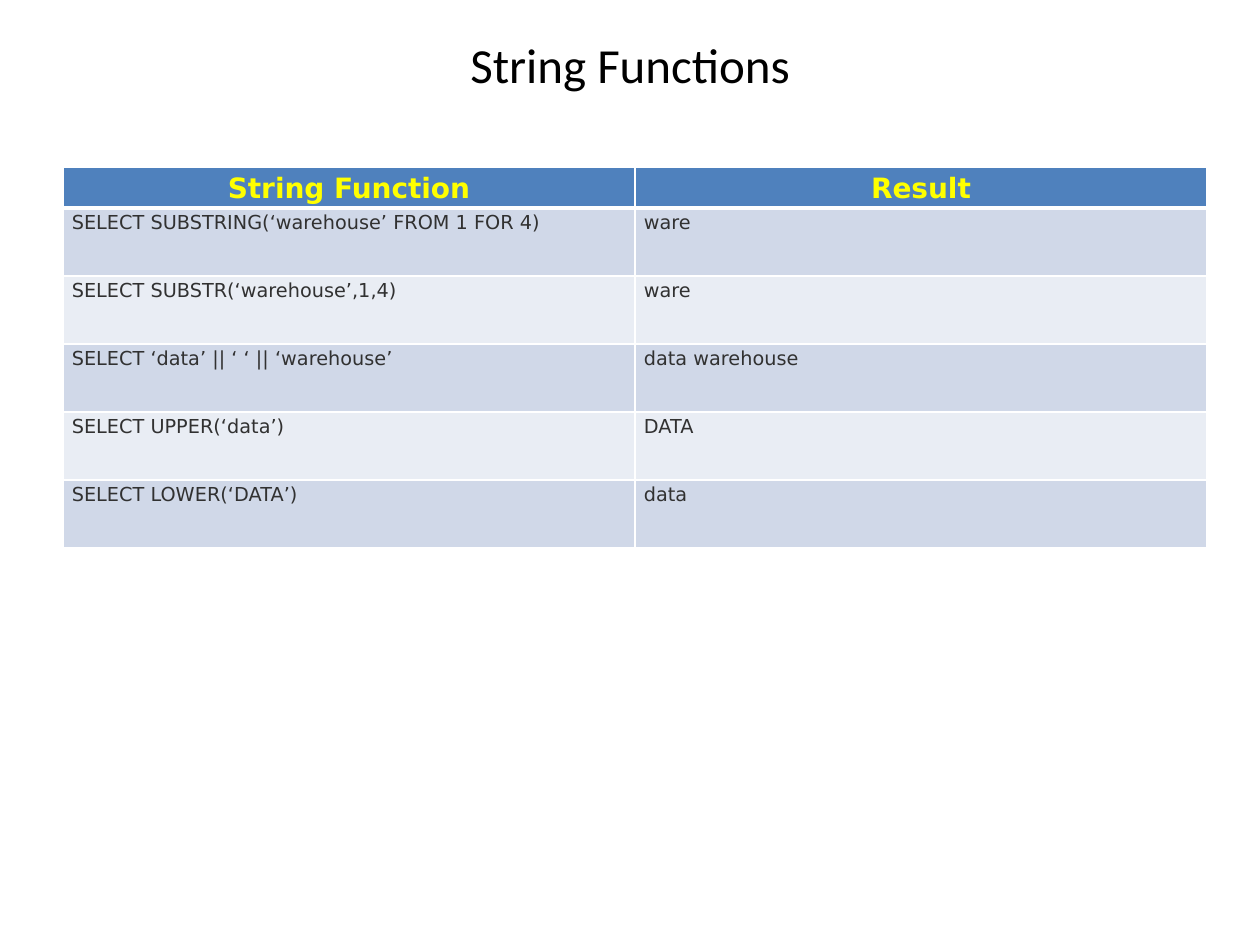
from lxml import etree
from pptx import Presentation
from pptx import util as u
from pptx.dml.color import RGBColor
from pptx.enum import text
from pptx.oxml import ns

ROWS = [
    ("String Function", "Result"),
    ("SELECT SUBSTRING(‘warehouse’ FROM 1 FOR 4)", "ware"),
    ("SELECT SUBSTR(‘warehouse’,1,4)", "ware"),
    ("SELECT ‘data’ || ‘ ‘ || ‘warehouse’", "data warehouse"),
    ("SELECT UPPER(‘data’)", "DATA"),
    ("SELECT LOWER(‘DATA’)", "data"),
]
TITLE_FONT = {"name": "Calibri", "size": u.Pt(28), "bold": False}
HEADER_FONT = {"name": "DejaVu Sans", "size": u.Pt(16), "bold": True}
BODY_FONT = {"name": "DejaVu Sans", "size": u.Pt(11), "bold": False}
CELL_FORMAT = {
    "margin_left": u.Inches(0.07),
    "margin_right": u.Inches(0.07),
    "margin_top": 0,
    "margin_bottom": 0,
    "vertical_anchor": text.MSO_ANCHOR.TOP,
}


def apply(target, values):
    for name, value in values.items():
        setattr(target, name, value)


def set_color(color_format, color):
    color_format.rgb = RGBColor.from_string(color)


def write(frame, words, font, color, align, spacing=1.0):
    para = frame.paragraphs[0]
    apply(para, {"alignment": align, "line_spacing": spacing})
    span = para.add_run()
    span.text = words
    apply(span.font, font)
    set_color(span.font.color, color)


def set_borders(cell, widths, color):
    properties = cell._tc.get_or_add_tcPr()
    for index, (side, width) in enumerate(widths.items()):
        line = etree.Element(ns.qn(f"a:ln{side}"), w=str(u.Pt(width)))
        fill = etree.SubElement(line, ns.qn("a:solidFill"))
        etree.SubElement(fill, ns.qn("a:srgbClr"), val=color)
        properties.insert(index, line)


def add_title(page, words):
    title = page.shapes.title
    apply(title, {"left": u.Inches(0.5), "top": u.Inches(0.17),
                  "width": u.Inches(9), "height": u.Inches(0.67)})
    title.text_frame.vertical_anchor = text.MSO_ANCHOR.MIDDLE
    write(title.text_frame, words, TITLE_FONT, "000000", text.PP_ALIGN.CENTER)


def format_cell(cell, words, row):
    header = row == 0
    apply(cell, CELL_FORMAT)
    cell.fill.solid()
    band = "D0D8E8" if row % 2 else "E9EDF4"
    set_color(cell.fill.fore_color, "4F81BD" if header else band)
    widths = {"L": 1, "R": 1, "T": 3 if row == 1 else 1, "B": 3 if header else 1}
    set_borders(cell, widths, "FFFFFF")
    write(cell.text_frame, words,
          HEADER_FONT if header else BODY_FONT,
          "FFFF00" if header else "313131",
          text.PP_ALIGN.CENTER if header else text.PP_ALIGN.LEFT, 1.15)


def add_function_table(page):
    table = page.shapes.add_table(
        len(ROWS), 2, u.Inches(0.5), u.Inches(1.33), u.Inches(9.08), u.Inches(3)
    ).table
    for column in table.columns:
        column.width = u.Inches(4.54)
    for row, values in enumerate(ROWS):
        table.rows[row].height = u.Inches(0.54 if row else 0.32)
        for column, words in enumerate(values):
            format_cell(table.cell(row, column), words, row)


def main():
    deck = Presentation()
    apply(deck, {"slide_width": u.Inches(10), "slide_height": u.Inches(7.5)})
    page = deck.slides.add_slide(deck.slide_layouts[5])
    add_title(page, "String Functions")
    add_function_table(page)
    deck.save("out.pptx")


main()
